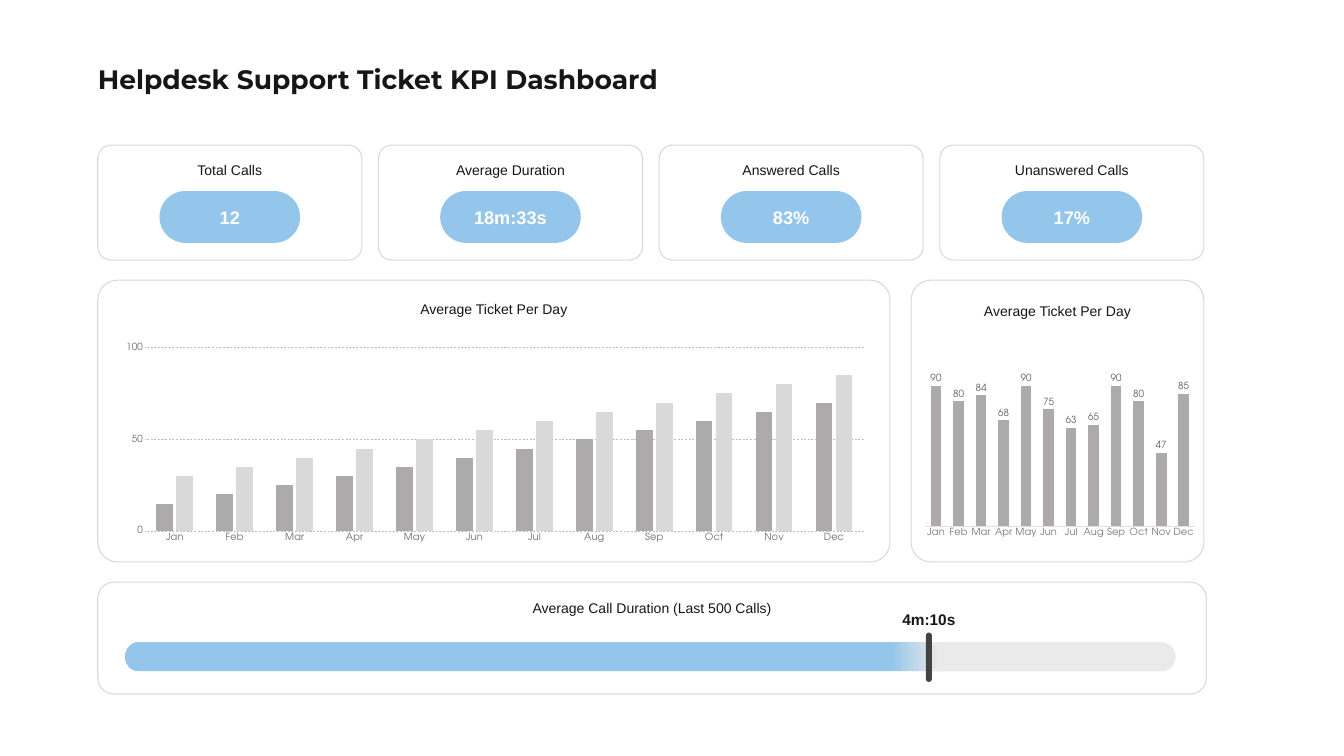
import lxml.etree
import pptx
import pptx.chart.data
import pptx.dml.color
import pptx.enum.chart
import pptx.enum.dml
import pptx.enum.shapes
import pptx.enum.text
import pptx.oxml
import pptx.util
from dataclasses import dataclass

TITLE = "Helpdesk Support Ticket KPI Dashboard"
KPIS = [
    ("Total Calls", "12"),
    ("Average Duration", "18m:33s"),
    ("Answered Calls", "83%"),
    ("Unanswered Calls", "17%"),
]
MONTHS = ["Jan", "Feb", "Mar", "Apr", "May", "Jun",
          "Jul", "Aug", "Sep", "Oct", "Nov", "Dec"]
TICKETS_HEADING = "Average Ticket Per Day"
TREND = [
    ("Series 1", [15, 20, 25, 30, 35, 40, 45, 50, 55, 60, 65, 70]),
    ("Series 2", [30, 35, 40, 45, 50, 55, 60, 65, 70, 75, 80, 85]),
]
MONTHLY = [("Series 1", [90, 80, 84, 68, 90, 75, 63, 65, 90, 80, 47, 85])]
DURATION_HEADING = "Average Call Duration (Last 500 Calls)"
DURATION = "4m:10s"
DURATION_SHARE = 0.765


@dataclass(frozen=True)
class Theme:
    body: str = "Arial"
    display: str = "Montserrat"
    chart: str = "TeX Gyre Adventor"
    ink: str = "161616"
    white: str = "FFFFFF"
    border: str = "D9D9D9"
    accent: str = "94C5EA"
    track: str = "EAEAEA"
    marker: str = "434343"
    bars: tuple = ("ADAAAB", "D9D9D9")
    grid: str = "BFBFBF"
    baseline: str = "E0E0E0"
    trend_label: str = "6C6C6C"
    month_label: str = "777777"
    value_label: str = "626262"
    title_size: int = 38
    value_size: int = 26
    marker_size: int = 22
    heading_size: int = 20
    chart_size: int = 14


THEME = Theme()

# Grid, in inches: four card columns and three rows with even gaps
PAGE_W, PAGE_H = 26.67, 15
LEFT, TOP = 1.94, 2.88
CARD_W, COLUMN_GAP, ROW_GAP = 5.24, 0.33, 0.4
RIGHT = LEFT + 4 * CARD_W + 3 * COLUMN_GAP
CARD_H, CHART_H, DURATION_H = 2.28, 5.59, 2.22
CHART_TOP = TOP + CARD_H + ROW_GAP
DURATION_TOP = CHART_TOP + CHART_H + ROW_GAP
TREND_W, MONTHLY_W, DURATION_W = 15.72, 5.81, 22
PILL_W, PILL_H = 2.79, 1.03
CORNER = 0.39  # largest panel corner radius


def inches(*lengths):
    return [pptx.util.Inches(length) for length in lengths]


def rgb(color):
    return pptx.dml.color.RGBColor.from_string(color)


def style_font(font, size, color, name, bold=False):
    font.size, font.name, font.bold = pptx.util.Pt(size), name, bold
    font.color.rgb = rgb(color)


def style_line(line, color, width):
    line.color.rgb = rgb(color)
    line.width = pptx.util.Pt(width)


def add_rounded(page, left, top, width, height, fill, radius=0.5, line=None):
    """Rounded box; radius is a share of its shorter side."""
    shape = page.shapes.add_shape(
        pptx.enum.shapes.MSO_SHAPE.ROUNDED_RECTANGLE,
        *inches(left, top, width, height))
    shape.shadow.inherit = False
    shape.adjustments[0] = radius
    shape.fill.solid()
    shape.fill.fore_color.rgb = rgb(fill)
    if line:
        style_line(shape.line, line, 1.5)
    else:
        shape.line.fill.background()
    return shape


def add_text(page, text, left, top, width, height, size, color=THEME.ink,
             name=THEME.body, bold=False, centered=True, inset=0.05):
    box = page.shapes.add_textbox(*inches(left, top, width, height))
    frame = box.text_frame
    frame.word_wrap = True
    frame.margin_top = frame.margin_bottom = pptx.util.Inches(inset)
    frame.margin_left = frame.margin_right = pptx.util.Inches(2 * inset)
    frame.text = text
    para = frame.paragraphs[0]
    align = pptx.enum.text.PP_ALIGN
    para.alignment = align.CENTER if centered else align.LEFT
    style_font(para.runs[0].font, size, color, name, bold)


def add_panel(page, heading, left, top, width, height, radius, heading_drop):
    add_rounded(page, left, top, width, height, THEME.white, radius, THEME.border)
    add_text(page, heading, left + 0.3, top + heading_drop, width - 0.6, 0.44,
             THEME.heading_size)


def add_kpi(page, column, label, value):
    left = LEFT + column * (CARD_W + COLUMN_GAP)
    add_panel(page, label, left, TOP, CARD_W, CARD_H, 0.116, 0.27)
    pill_left, pill_top = left + (CARD_W - PILL_W) / 2, TOP + 0.91
    add_rounded(page, pill_left, pill_top, PILL_W, PILL_H, THEME.accent)
    add_text(page, value, pill_left, pill_top + 0.3, PILL_W, 0.44,
             THEME.value_size, THEME.white, bold=True, inset=0)


def add_columns(page, series, place, gap, overlap, label_color, major):
    data = pptx.chart.data.CategoryChartData()
    data.categories = MONTHS
    for name, values in series:
        data.add_series(name, values)
    chart = page.shapes.add_chart(
        pptx.enum.chart.XL_CHART_TYPE.COLUMN_CLUSTERED, *inches(*place), data).chart
    chart.has_legend = chart.has_title = False
    style_font(chart.font, THEME.chart_size, label_color, THEME.chart)
    plot = chart.plots[0]
    plot.gap_width, plot.overlap, plot.vary_by_categories = gap, overlap, False
    for bars, color in zip(plot.series, THEME.bars):
        bars.format.fill.solid()
        bars.format.fill.fore_color.rgb = rgb(color)
    for axis in (chart.category_axis, chart.value_axis):
        axis.major_tick_mark = pptx.enum.chart.XL_TICK_MARK.NONE
        axis.format.line.fill.background()
        style_font(axis.tick_labels.font, THEME.chart_size, label_color, THEME.chart)
    scale = chart.value_axis
    scale.minimum_scale, scale.maximum_scale, scale.major_unit = 0, 100, major
    return chart


def set_plot_area(chart, **shares):
    """Fix the inner plot area as shares of the chart frame."""
    ns = pptx.oxml.ns.nsdecls("c")
    area = chart.plots[0]._element.getparent()
    for old in area.findall(pptx.oxml.ns.qn("c:layout")):
        area.remove(old)
    values = "".join(f'<c:{key} val="{share}"/>' for key, share in shares.items())
    area.insert(0, pptx.oxml.parse_xml(
        f'<c:layout {ns}><c:manualLayout><c:layoutTarget val="inner"/>'
        f'<c:xMode val="edge"/><c:yMode val="edge"/>{values}'
        '</c:manualLayout></c:layout>'))


def add_trend(page):
    add_panel(page, TICKETS_HEADING, LEFT, CHART_TOP, TREND_W, CHART_H,
              CORNER / CHART_H, 0.35)
    chart = add_columns(page, TREND, (LEFT + 0.26, CHART_TOP + 1.16, 15.25, 4.13),
                        140, -20, THEME.trend_label, 50)
    grid = chart.value_axis.major_gridlines.format.line
    style_line(grid, THEME.grid, 0.75)
    grid.dash_style = pptx.enum.dml.MSO_LINE.DASH


def add_monthly(page):
    left = RIGHT - MONTHLY_W
    add_panel(page, TICKETS_HEADING, left, CHART_TOP, MONTHLY_W, CHART_H,
              CORNER / CHART_H, 0.39)
    chart = add_columns(page, MONTHLY, (left - 0.02, CHART_TOP + 1.17, 5.83, 4.12),
                        113, -70, THEME.month_label, 20)
    chart.value_axis.visible = chart.value_axis.has_major_gridlines = False
    style_line(chart.category_axis.format.line, THEME.baseline, 0.75)
    labels = chart.plots[0].series[0].data_labels
    labels.show_value = True
    labels.position = pptx.enum.chart.XL_LABEL_POSITION.OUTSIDE_END
    style_font(labels.font, THEME.chart_size, THEME.value_label, THEME.chart)
    set_plot_area(chart, x=0.05, y=0.15, w=0.92, h=0.75)


def add_duration(page):
    add_panel(page, DURATION_HEADING, LEFT, DURATION_TOP, DURATION_W, DURATION_H,
              0.145, 0.3)
    left, top, width, height = LEFT + 0.55, DURATION_TOP + 1.19, 20.84, 0.58
    add_rounded(page, left, top, width, height, THEME.track)
    marker = left + width * DURATION_SHARE
    bar = add_rounded(page, left, top, marker - left + 0.21, height, THEME.accent)
    bar.fill.gradient()
    bar.fill.gradient_angle = 180
    for stop, (color, position) in zip(bar.fill.gradient_stops,
                                       [(THEME.track, 0), (THEME.accent, 0.06)]):
        stop.color.rgb, stop.position = rgb(color), position
    add_rounded(page, marker - 0.06, top - 0.19, 0.12, 0.98, THEME.marker)
    add_text(page, DURATION, marker - 1, top - 0.69, 2, 0.47,
             THEME.marker_size, bold=True)


def main():
    deck = pptx.Presentation()
    deck.slide_width, deck.slide_height = inches(PAGE_W, PAGE_H)
    page = deck.slides.add_slide(deck.slide_layouts[6])
    add_text(page, TITLE, LEFT, 1.24, TREND_W, 0.64, THEME.title_size,
             name=THEME.display, bold=True, centered=False, inset=0)
    for column, (label, value) in enumerate(KPIS):
        add_kpi(page, column, label, value)
    add_trend(page)
    add_monthly(page)
    add_duration(page)
    deck.save("out.pptx")


if __name__ == "__main__":
    main()
